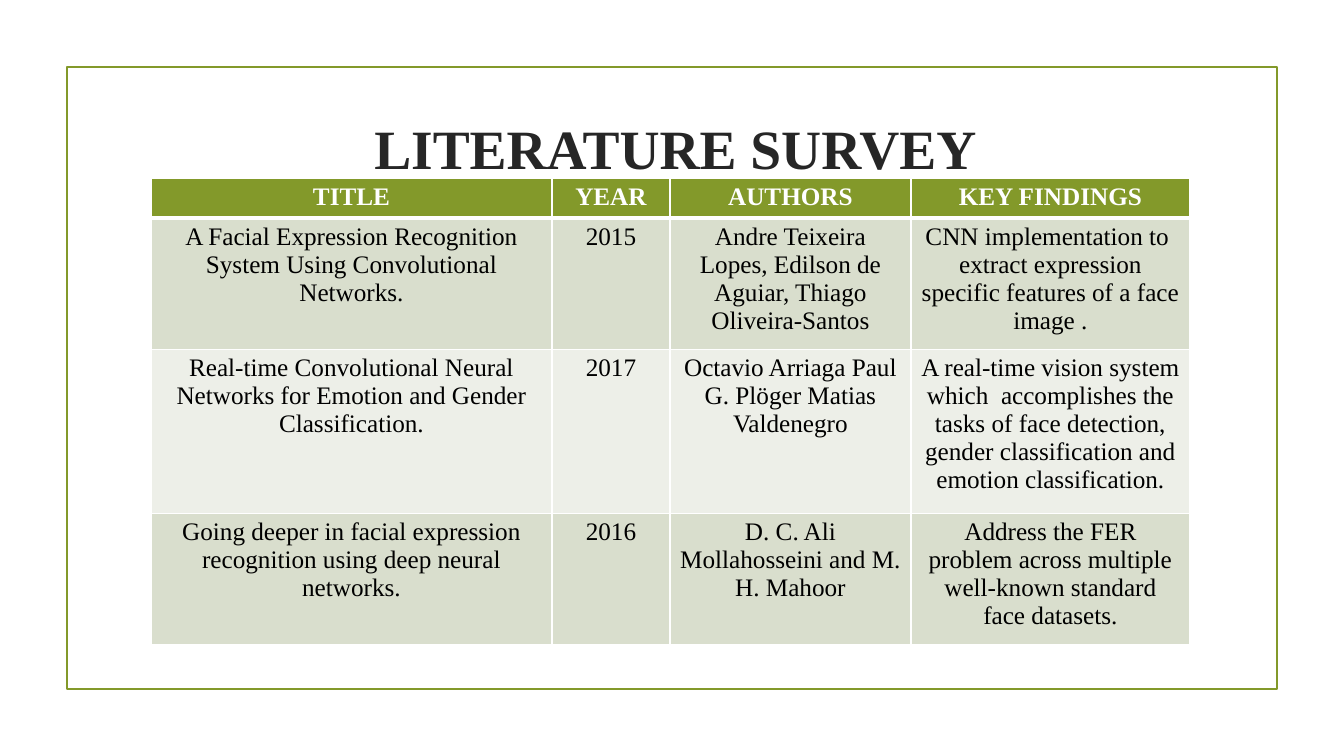
from dataclasses import dataclass

from lxml import etree
from pptx import Presentation
from pptx.dml.color import RGBColor
from pptx.enum.shapes import MSO_SHAPE
from pptx.enum.text import MSO_ANCHOR, PP_ALIGN
from pptx.oxml.ns import qn
from pptx.util import Pt

PX = 914400 / 100.8
RECT = MSO_SHAPE.RECTANGLE
CENTER, MIDDLE = PP_ALIGN.CENTER, MSO_ANCHOR.MIDDLE
GREEN, WHITE, BLACK, DARK = "83992A", "FFFFFF", "000000", "262626"
BANDS = ("D9DECD", "EDEFE8")
FONT = "Times New Roman"
THIN, THICK = 1, 3


@dataclass
class Column:
    heading: str
    width: int
    entries: tuple[str, ...]


COLUMNS = [
    Column("TITLE", 401, (
        "A Facial Expression Recognition\nSystem Using Convolutional Networks.",
        "Real-time Convolutional Neural Networks for Emotion and Gender Classification.",
        "Going deeper in facial expression recognition using deep neural networks.",
    )),
    Column("YEAR", 118, ("2015", "2017", "2016")),
    Column("AUTHORS", 241, (
        "Andre Teixeira Lopes, Edilson de Aguiar, Thiago Oliveira-Santos",
        "Octavio Arriaga Paul G. Plöger Matias Valdenegro",
        "D. C. Ali Mollahosseini and M. H. Mahoor",
    )),
    Column("KEY FINDINGS", 279, (
        "CNN implementation to  extract expression specific features of a face image .",
        "A real-time vision system which  accomplishes the tasks of face detection, "
        "gender classification and emotion classification.",
        "Address the FER problem across multiple well-known standard face datasets.",
    )),
]
ROW_HEIGHTS = (37, 121, 164, 121)


def px(n: int) -> int:
    return round(n * PX)


def rgb(value: str) -> RGBColor:
    return RGBColor.from_string(value)


def write(tf, text: str, color: str, **font) -> None:
    """Fill a text frame with centred paragraphs, one per line."""
    tf.text = text
    for p in tf.paragraphs:
        p.alignment = CENTER
        for r in p.runs:
            r.font.color.rgb = rgb(color)
            for name, value in {"name": FONT, **font}.items():
                setattr(r.font, name, value)


def set_borders(cell, row: int) -> None:
    """Draw white cell borders, thicker below the heading row."""
    widths = {"L": THIN, "R": THIN,
              "T": THICK if row == 1 else THIN,
              "B": THICK if row == 0 else THIN}
    tc_pr = cell._tc.get_or_add_tcPr()
    for side, width in widths.items():
        ln = etree.SubElement(tc_pr, qn(f"a:ln{side}"), w=str(Pt(width)))
        fill = etree.SubElement(ln, qn("a:solidFill"))
        etree.SubElement(fill, qn("a:srgbClr"), val=WHITE)


def add_frame(slide) -> None:
    s = slide.shapes.add_shape(RECT, px(67), px(67), px(1210), px(622))
    s.shadow.inherit = False
    s.fill.background()
    s.line.color.rgb = rgb(GREEN)
    s.line.width = Pt(1.25)


def add_title(slide) -> None:
    s = slide.shapes.add_textbox(px(151), px(112), px(1049), px(70))
    tf = s.text_frame
    tf.word_wrap = True
    tf.vertical_anchor = MIDDLE
    write(tf, "LITERATURE SURVEY", DARK, size=Pt(39.6), bold=True)


def add_survey(slide) -> None:
    width = sum(c.width for c in COLUMNS)
    table = slide.shapes.add_table(
        len(ROW_HEIGHTS), len(COLUMNS),
        px(151), px(178), px(width), px(sum(ROW_HEIGHTS))).table
    for i, height in enumerate(ROW_HEIGHTS):
        table.rows[i].height = px(height)
    for j, column in enumerate(COLUMNS):
        table.columns[j].width = px(column.width)
        for i, text in enumerate((column.heading, *column.entries)):
            head = i == 0
            cell = table.cell(i, j)
            set_borders(cell, i)
            cell.fill.solid()
            cell.fill.fore_color.rgb = rgb(GREEN if head else BANDS[(i - 1) % 2])
            write(cell.text_frame, text, WHITE if head else BLACK,
                  size=Pt(18), bold=head)


def main() -> None:
    prs = Presentation()
    prs.slide_width, prs.slide_height = px(1344), px(756)
    slide = prs.slides.add_slide(prs.slide_layouts[6])
    add_frame(slide)
    add_title(slide)
    add_survey(slide)
    prs.save("out.pptx")


if __name__ == "__main__":
    main()
